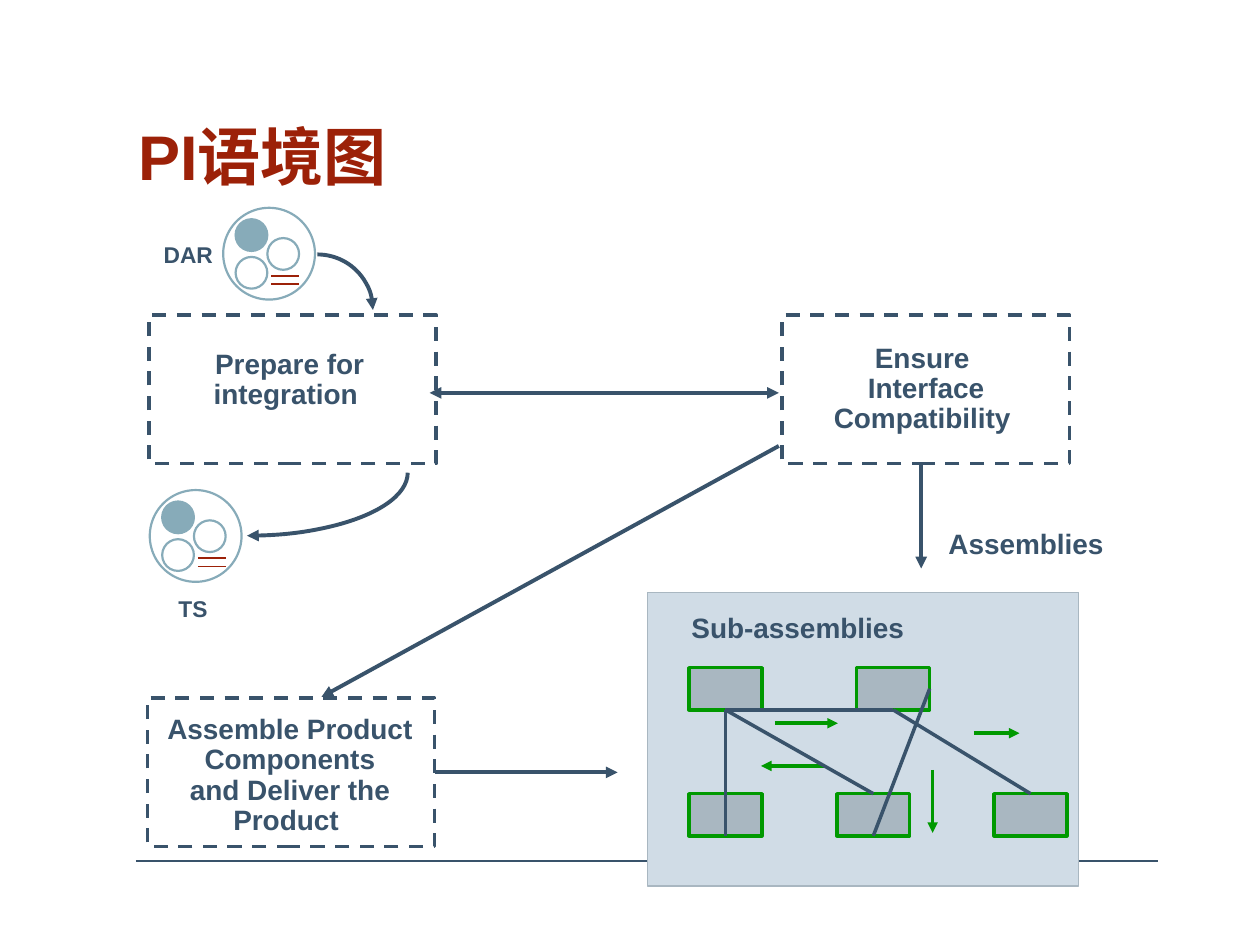
import copy

import pptx
import pptx.dml.color
import pptx.enum.dml
import pptx.enum.shapes
import pptx.enum.text
import pptx.oxml
import pptx.oxml.ns
import pptx.util

Cm = pptx.util.Cm
Pt = pptx.util.Pt
SHAPE = pptx.enum.shapes.MSO_SHAPE
ALIGN = pptx.enum.text.PP_ALIGN
TOP, LEFT, BOTTOM, RIGHT = range(4)

NAVY, RED, GREEN = "39536B", "9C2108", "009900"
WHITE, PANEL, GREY, TEAL = "FFFFFF", "D0DCE6", "A9B7C1", "87ABB9"


def color(hex_string):
    return pptx.dml.color.RGBColor.from_string(hex_string)


def write_text(frame, text, size=16, fill=NAVY, align=ALIGN.LEFT, spacing=None, wrap=True):
    frame.word_wrap = wrap
    paragraph = frame.paragraphs[0]
    paragraph.text = text
    paragraph.alignment = align
    paragraph.line_spacing = spacing
    for run in paragraph.runs:
        run.font.name = "Arial"
        run.font.size = Pt(size)
        run.font.bold = True
        run.font.color.rgb = color(fill)
    # Line breaks take the format of the runs around them
    for line_break in paragraph._p.findall(pptx.oxml.ns.qn("a:br")):
        line_break.append(copy.deepcopy(paragraph.runs[0]._r.rPr))


class Diagram:
    font_spacing = 0.9

    def __init__(self, slide):
        self.slide = slide

    def title(self, text, x, y, width, height):
        title = self.slide.shapes.title
        title.left, title.top, title.width, title.height = map(Cm, (x, y, width, height))
        frame = title.text_frame
        frame.margin_left = frame.margin_right = frame.margin_top = frame.margin_bottom = 0
        frame.vertical_anchor = pptx.enum.text.MSO_ANCHOR.MIDDLE
        write_text(frame, text, size=36, fill=RED, spacing=self.font_spacing)

    def label(self, text, x, y, width, height, **text_format):
        box = self.slide.shapes.add_textbox(Cm(x), Cm(y), Cm(width), Cm(height))
        write_text(box.text_frame, text, **text_format)

    def shape(self, kind, x, y, width, height, fill, line, weight, dashed=False, parent=None):
        shapes = (parent or self.slide).shapes
        shape = shapes.add_shape(kind, Cm(x), Cm(y), Cm(width), Cm(height))
        shape.shadow.inherit = False
        if fill:
            shape.fill.solid()
            shape.fill.fore_color.rgb = color(fill)
        else:
            shape.fill.background()
        self.outline(shape, line, weight)
        if dashed:
            shape.line.dash_style = pptx.enum.dml.MSO_LINE.DASH
        return shape

    def outline(self, shape, line, weight, arrows=()):
        shape.line.color.rgb = color(line)
        shape.line.width = Pt(weight)
        for end in arrows:
            arrow = pptx.oxml.parse_xml(
                f'<a:{end} {pptx.oxml.ns.nsdecls("a")} type="triangle"/>')
            shape.line._get_or_add_ln().append(arrow)

    def line(self, start, end, line=NAVY, weight=2.25, arrows=(), parent=None):
        """Each end is an (x, y) point or a (shape, side) pair to join."""
        points = [point if not hasattr(point[0], "shape_id") else (0, 0)
                  for point in (start, end)]
        connector = (parent or self.slide).shapes.add_connector(
            pptx.enum.shapes.MSO_CONNECTOR.STRAIGHT,
            *(Cm(value) for point in points for value in point))
        for point, join in ((start, connector.begin_connect), (end, connector.end_connect)):
            if hasattr(point[0], "shape_id"):
                join(*point)
        self.outline(connector, line, weight, arrows)
        effects = pptx.oxml.parse_xml(f'<a:effectLst {pptx.oxml.ns.nsdecls("a")}/>')
        connector._element.spPr.append(effects)

    def curved_arrow(self, center, radius_x, radius_y, start_angle, end_angle):
        x, y = center
        arc = self.shape(SHAPE.ARC, x - radius_x, y - radius_y, 2 * radius_x, 2 * radius_y,
                         None, NAVY, 2.25)
        # Angles are stored in 60000ths of a degree, adjustments in 100000ths
        arc.adjustments[0] = start_angle * 0.6
        arc.adjustments[1] = end_angle * 0.6
        self.outline(arc, NAVY, 2.25, ["tailEnd"])

    def process_icon(self, x, y):
        group = self.slide.shapes.add_group_shape()
        circles = [(0, 0, 1.85, WHITE), (0.89, 0.61, 0.64, WHITE),
                   (0.25, 0.99, 0.64, WHITE), (0.25, 0.23, 0.64, TEAL)]
        for dx, dy, size, fill in circles:
            self.shape(SHAPE.OVAL, x + dx, y + dy, size, size, fill, TEAL, 1.25, parent=group)
        for dy in (1.37, 1.54):
            self.line((x + 0.97, y + dy), (x + 1.53, y + dy), RED, 1, parent=group)


def main():
    presentation = pptx.Presentation()
    presentation.slide_width, presentation.slide_height = Cm(25.4), Cm(19.05)
    slide = presentation.slides.add_slide(presentation.slide_layouts[5])
    diagram = Diagram(slide)

    # Title and footer rule
    diagram.line((2.74, 17.35), (23.34, 17.35), weight=1)
    diagram.title("PI语境图", 2.79, 2.46, 20.62, 1.55)

    # Practice boxes
    ensure, assemble, prepare = [
        diagram.shape(SHAPE.RECTANGLE, x, y, 5.79, 3, WHITE, NAVY, 2, dashed=True)
        for x, y in ((15.77, 6.35), (2.97, 14.07), (3, 6.35))]
    centered = {"align": ALIGN.CENTER, "spacing": diagram.font_spacing}
    diagram.label("Ensure \nInterface\nCompatibility ", 16.13, 6.81, 5.08, 2.08, **centered)
    diagram.label("Assemble Product Components\nand Deliver the Product ",
                  2.72, 14.3, 6.25, 2.69, **centered)
    diagram.label("Prepare for integration ", 3.3, 6.93, 5.08, 1.47, **centered)

    # Sub-assemblies panel
    diagram.shape(SHAPE.RECTANGLE, 13.06, 11.94, 8.69, 5.92, PANEL, GREY, 0.75)
    diagram.label("Assemblies", 18.87, 10.49, 3.63, 0.94, wrap=False)
    diagram.label("Sub-assemblies", 13.69, 12.19, 4.8, 0.94, wrap=False)
    upper_left, upper_right, lower_left, lower_middle, lower_right = [
        diagram.shape(SHAPE.RECTANGLE, x, y, 1.47, 0.85, GREY, GREEN, 2)
        for x, y in ((13.89, 13.46), (17.27, 13.46),
                     (13.89, 16), (16.87, 16), (20.04, 16))]

    # Flow arrows inside the panel
    for start, end in (((16.61, 15.44), (15.34, 15.44)), ((19.63, 14.78), (20.55, 14.78)),
                       ((15.62, 14.58), (16.89, 14.58)), ((18.8, 15.52), (18.8, 16.79))):
        diagram.line(start, end, GREEN, 2, ["tailEnd"])

    # Links between the components
    for start, end in (((upper_left, BOTTOM), (lower_middle, TOP)),
                       ((upper_right, BOTTOM), (lower_right, TOP)),
                       ((upper_right, RIGHT), (lower_middle, BOTTOM)),
                       ((lower_left, BOTTOM), (upper_left, BOTTOM)),
                       ((upper_left, BOTTOM), (upper_right, BOTTOM))):
        diagram.line(start, end, weight=2)

    # Arrows between the practices
    diagram.line((8.66, 7.92), (15.7, 7.92), arrows=["headEnd", "tailEnd"])
    diagram.line((18.57, 9.35), (18.57, 11.46), arrows=["tailEnd"])
    diagram.line((assemble, RIGHT), (12.45, 15.57), arrows=["tailEnd"])
    diagram.line((15.7, 8.99), (6.48, 14.05), arrows=["tailEnd"])

    # Related process areas
    diagram.label("DAR", 3.05, 4.72, 1.5, 0.81, size=13, wrap=False)
    diagram.process_icon(4.5, 4.19)
    diagram.curved_arrow((6.4, 6.25), 1.12, 1.12, 270, 0)
    diagram.label("TS", 3.23, 11.86, 1.32, 0.81, size=13, align=ALIGN.CENTER)
    diagram.process_icon(3.02, 9.88)
    diagram.curved_arrow((4.98, 9.53), 3.24, 1.27, 0, 90)

    presentation.save("out.pptx")


if __name__ == "__main__":
    main()
